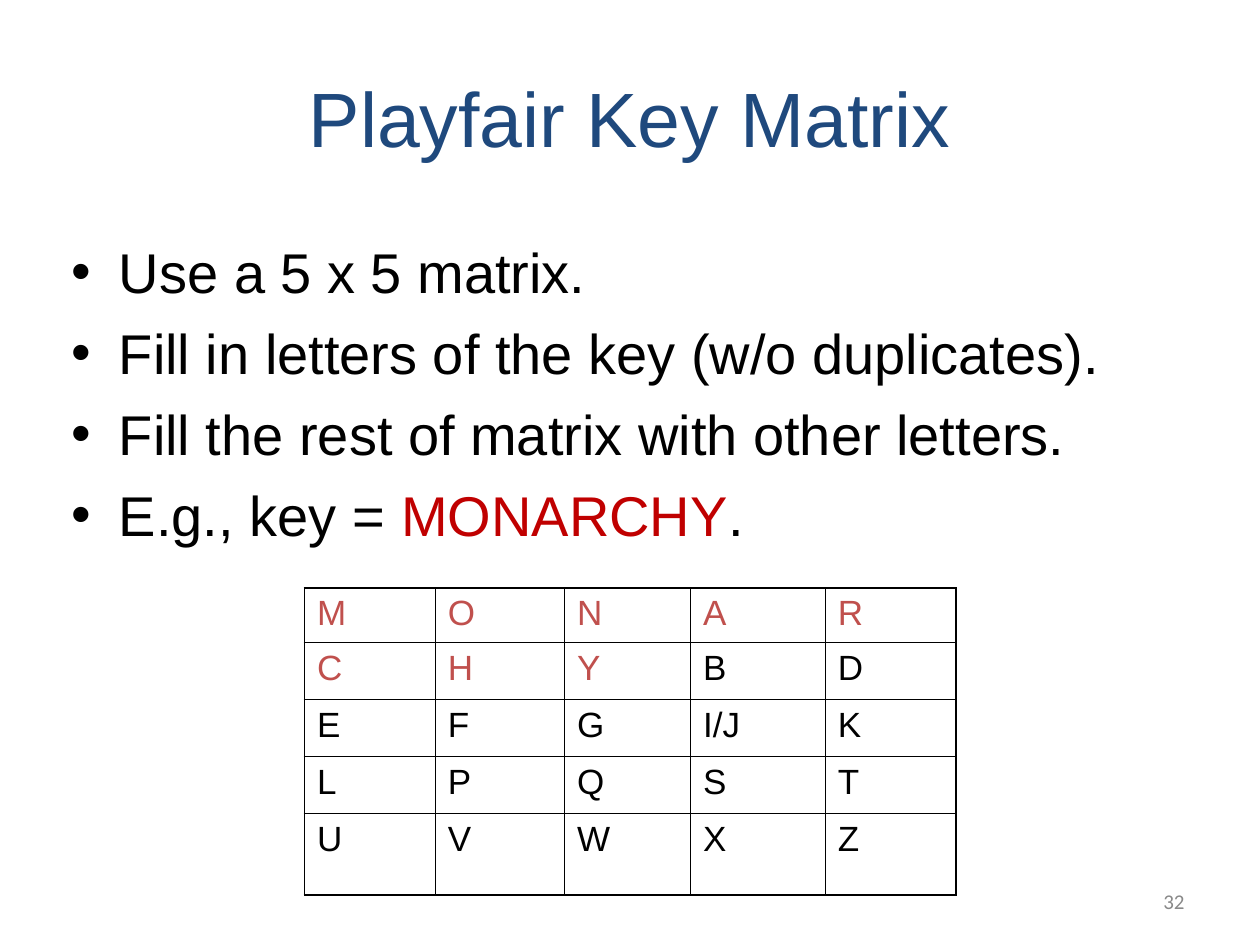
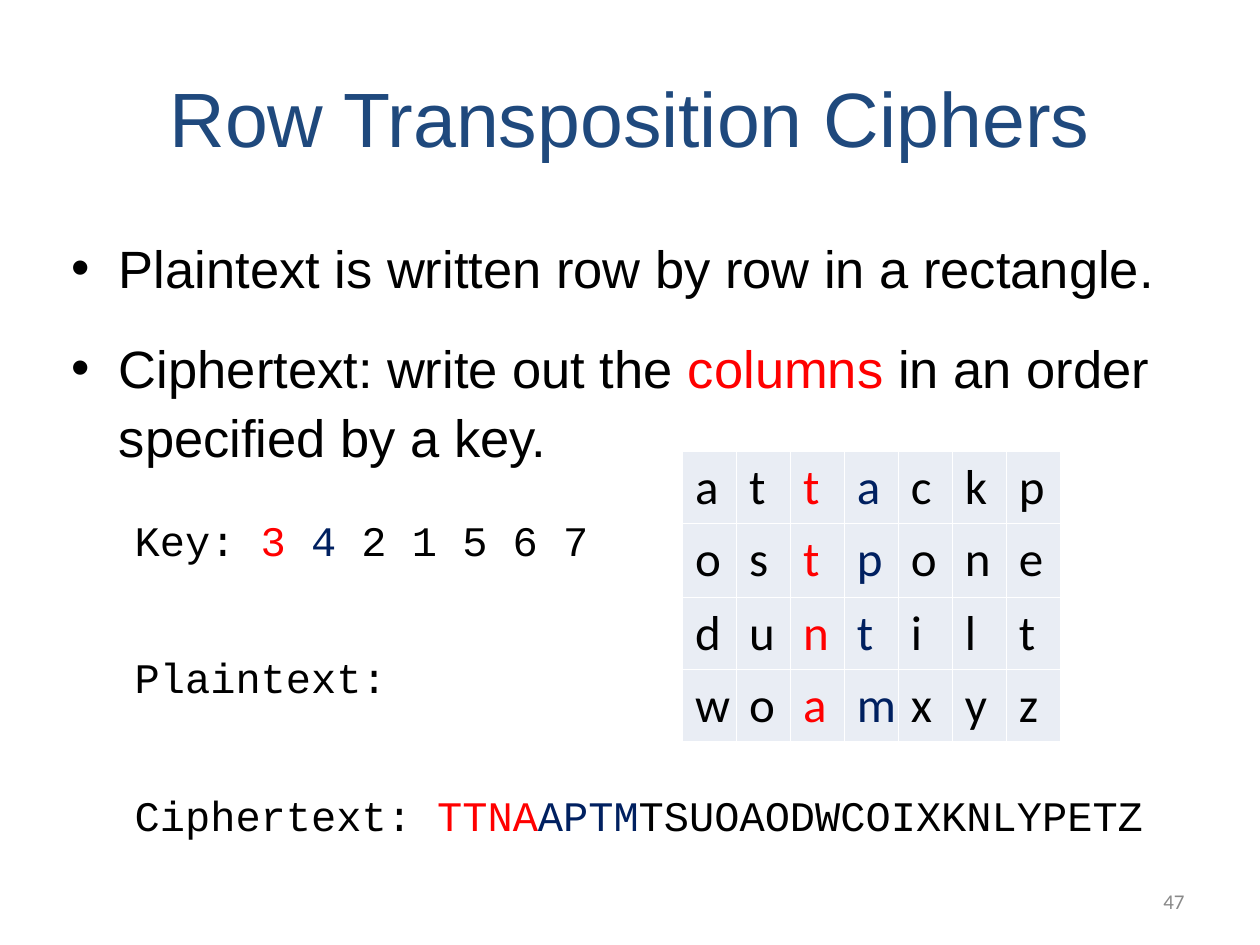
from lxml.etree import SubElement
from pptx import Presentation
from pptx.dml.color import RGBColor
from pptx.enum.text import MSO_ANCHOR, PP_ALIGN
from pptx.oxml.ns import qn
from pptx.util import Pt

BLACK, WHITE, GRAY = "000000", "FFFFFF", "898989"
TITLE_BLUE, NAVY = "1F497D", "002060"
RED, KEY_RED, LETTER_RED = "FF0000", "C00000", "C0504D"
CELL_FILL = "E9EDF4"
SANS, MONO, NUMBER_FONT = "Arial", "Courier New", "Calibri"
BODY_LEFT, BODY_WIDTH = 36, 648
BODY_INSETS = (5, 5.5, 5, 0)


def color(hex_string):
    return RGBColor.from_string(hex_string)


def write(paragraph, text, size=32, font=SANS, fill=BLACK, align=PP_ALIGN.LEFT,
          line=None, before=0):
    """Fill a paragraph; text is a string or a list of (string, colour) runs."""
    paragraph.alignment = align
    paragraph.space_before = Pt(before)
    if line:
        paragraph.line_spacing = Pt(line)
    runs = [(text, fill)] if isinstance(text, str) else text
    for part, run_color in runs:
        run = paragraph.add_run()
        run.text = part
        run.font.size = Pt(size)
        run.font.name = font
        run.font.color.rgb = color(run_color)


def indent(paragraph, left, first, bullet=False):
    properties = paragraph._p.get_or_add_pPr()
    properties.set("marL", str(Pt(left)))
    properties.set("indent", str(Pt(first)))
    if bullet:
        SubElement(properties, qn("a:buFont")).set("typeface", SANS)
        SubElement(properties, qn("a:buChar")).set("char", "•")


def add_text_frame(slide, left, top, width, height, insets=(7.2, 3.6, 7.2, 3.6),
                   anchor=MSO_ANCHOR.MIDDLE):
    box = slide.shapes.add_textbox(Pt(left), Pt(top), Pt(width), Pt(height))
    frame = box.text_frame
    frame.word_wrap = True
    frame.vertical_anchor = anchor
    (frame.margin_left, frame.margin_top,
     frame.margin_right, frame.margin_bottom) = map(Pt, insets)
    return frame


def add_body(slide, top, height, paragraphs):
    """Add the body box; each paragraph is (text, left, first, bullet, format)."""
    frame = add_text_frame(slide, BODY_LEFT, top, BODY_WIDTH, height,
                           BODY_INSETS, MSO_ANCHOR.TOP)
    for index, (text, left, first, bullet, text_format) in enumerate(paragraphs):
        paragraph = frame.add_paragraph() if index else frame.paragraphs[0]
        write(paragraph, text, **text_format)
        indent(paragraph, left, first, bullet)


def bullet_item(text, **text_format):
    return text, 27, -27, True, text_format


def code_item(text, before):
    return text, 58.5, -22.5, False, dict(size=24, font=MONO, line=24, before=before)


def set_border(cell, side, line_color, width):
    line = SubElement(cell._tc.get_or_add_tcPr(), qn(f"a:ln{side}"), w=str(Pt(width)))
    fill = SubElement(line, qn("a:solidFill"))
    SubElement(fill, qn("a:srgbClr"), val=line_color)


def add_letter_table(slide, left, top, letters, widths, heights, letter_color,
                     border, outer_width, fill=None, **text_format):
    """Add a grid of letters; letter_color(row, column) gives each letter's colour."""
    row_count, column_count = len(heights), len(widths)
    frame = slide.shapes.add_table(row_count, column_count, Pt(left), Pt(top),
                                   Pt(sum(widths)), Pt(sum(heights)))
    table = frame.table
    table.first_row = table.horz_banding = False
    for column, width in zip(table.columns, widths):
        column.width = Pt(width)
    for row, height in zip(table.rows, heights):
        row.height = Pt(height)
    for r, row_letters in enumerate(letters):
        for c, letter in enumerate(row_letters):
            cell = table.cell(r, c)
            outer_sides = {"L": c == 0, "R": c == column_count - 1,
                           "T": r == 0, "B": r == row_count - 1}
            for side, is_outer in outer_sides.items():
                set_border(cell, side, border, outer_width if is_outer else 0.45)
            if fill:
                cell.fill.solid()
                cell.fill.fore_color.rgb = color(fill)
            else:
                cell.fill.background()
            write(cell.text_frame.paragraphs[0], letter,
                  fill=letter_color(r, c), **text_format)


def add_slide(presentation, title, number):
    """Add a blank slide with the shared title and slide number."""
    slide = presentation.slides.add_slide(presentation.slide_layouts[6])
    title_frame = add_text_frame(slide, 36, 21.6, 648, 90)
    write(title_frame.paragraphs[0], title, size=44, fill=TITLE_BLUE,
          align=PP_ALIGN.CENTER)
    number_frame = add_text_frame(slide, 516, 500.5, 168, 28.8)
    write(number_frame.paragraphs[0], str(number), size=12, font=NUMBER_FONT,
          fill=GRAY, align=PP_ALIGN.RIGHT)
    return slide


def build_playfair(presentation):
    slide = add_slide(presentation, "Playfair Key Matrix", 32)
    lines = [
        "Use a 5 x 5 matrix.",
        "Fill in letters of the key (w/o duplicates).",
        "Fill the rest of matrix with other letters.",
        [("E.g., key = ", BLACK), ("MONARCHY", KEY_RED), (".", BLACK)],
    ]
    add_body(slide, 131.8, 210, [
        bullet_item(text, line=37, before=9.3 if index else 0)
        for index, text in enumerate(lines)])
    matrix = [row.split() for row in
              ("M O N A R", "C H Y B D", "E F G I/J K", "L P Q S T", "U V W X Z")]
    key_length = len("MONARCHY")
    add_letter_table(
        slide, 174, 336, matrix, [74.7, 73.9, 72, 77, 74.7],
        [31, 32.6, 32.6, 32.6, 46.6],
        lambda r, c: LETTER_RED if r * 5 + c < key_length else BLACK,
        BLACK, 1.08, size=20)


def build_row_transposition(presentation):
    slide = add_slide(presentation, "Row Transposition Ciphers", 47)
    add_body(slide, 126, 356, [
        bullet_item("Plaintext is written row by row in a rectangle.",
                    size=30, line=39.4),
        bullet_item([("Ciphertext: write out the ", BLACK), ("columns", RED),
                     (" in an order specified by a key.", BLACK)],
                    size=30, line=39.4, before=17.7),
        code_item([("Key: ", BLACK), ("3 ", RED), ("4", NAVY),
                   (" 2 1 5 6 7", BLACK)], before=31.6),
        code_item("Plaintext:", before=54.3),
        code_item([("Ciphertext: ", BLACK), ("TTNA", RED), ("APTM", NAVY),
                   ("TSUOAODWCOIXKNLYPETZ", BLACK)], before=54.3),
    ])
    column_colors = {2: RED, 3: NAVY}
    add_letter_table(
        slide, 390, 258, ["attackp", "ostpone", "duntilt", "woamxyz"],
        [30.86] * 7, [41, 42.5, 41, 41],
        lambda r, c: column_colors.get(c, BLACK),
        WHITE, 0.45, CELL_FILL, size=28, font=NUMBER_FONT)


def main():
    presentation = Presentation()
    presentation.slide_width, presentation.slide_height = Pt(720), Pt(540)
    build_playfair(presentation)
    build_row_transposition(presentation)
    presentation.save("out.pptx")


if __name__ == "__main__":
    main()
